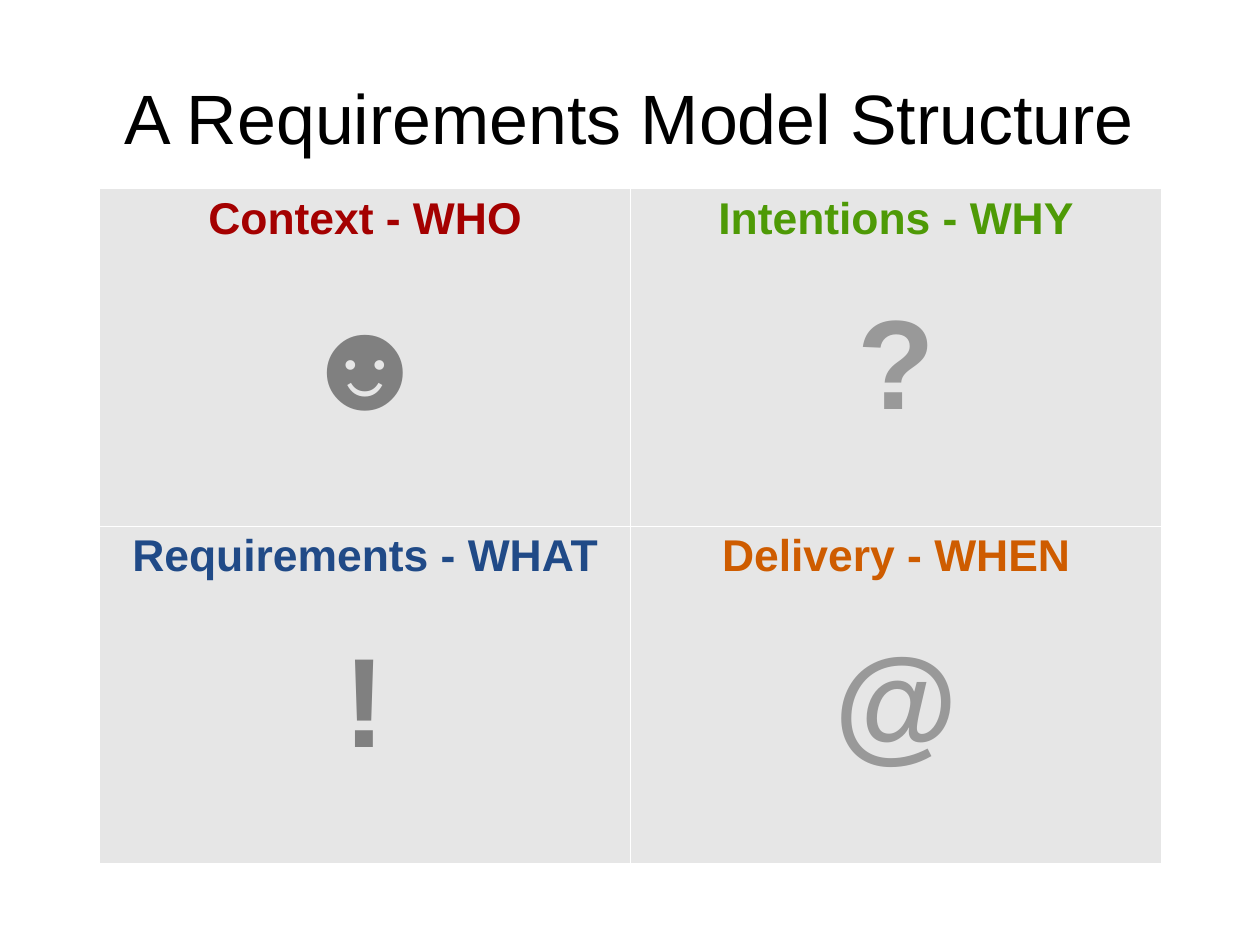
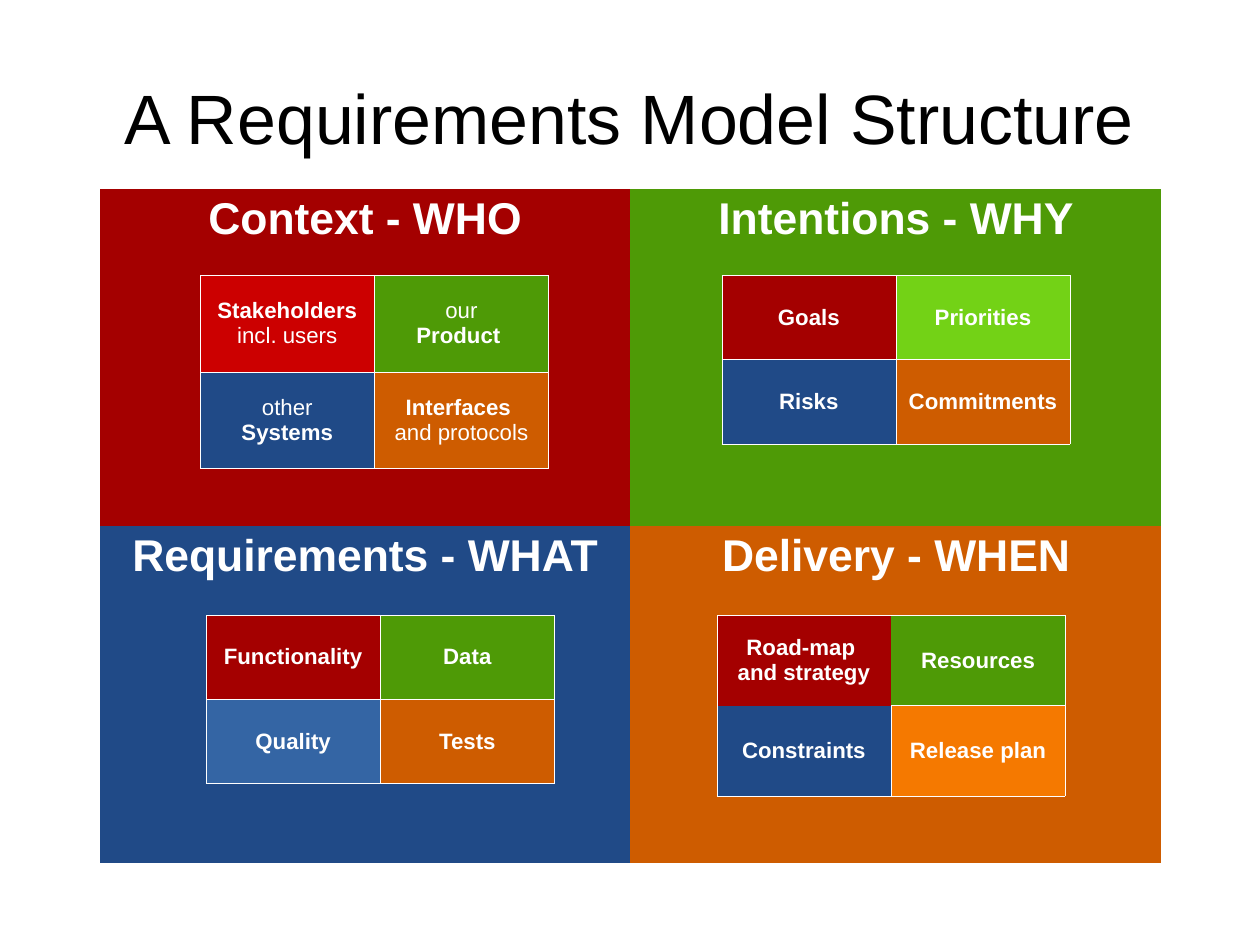
"""Build two slides showing a requirements model as nested two-by-two grids."""
from collections import namedtuple

from lxml.etree import SubElement
from pptx import Presentation
from pptx.dml.color import RGBColor as RGB
from pptx.enum.text import MSO_ANCHOR as ANCHOR, MSO_AUTO_SIZE as AUTO_SIZE, PP_ALIGN as ALIGN
from pptx.oxml.ns import qn
from pptx.util import Cm, Pt

FONT = "Arial"
BLACK, WHITE, PALE = RGB(0, 0, 0), RGB(0xFF, 0xFF, 0xFF), RGB(0xE6, 0xE6, 0xE6)
DARK_GREY, GREY = RGB(0x80, 0x80, 0x80), RGB(0x99, 0x99, 0x99)
RED, BRIGHT_RED = RGB(0xA4, 0, 0), RGB(0xCC, 0, 0)
GREEN, BRIGHT_GREEN = RGB(0x4E, 0x9A, 0x06), RGB(0x73, 0xD2, 0x16)
BLUE, BRIGHT_BLUE = RGB(0x20, 0x4A, 0x87), RGB(0x34, 0x65, 0xA4)
ORANGE, BRIGHT_ORANGE = RGB(0xCE, 0x5C, 0), RGB(0xF5, 0x79, 0)

Line = namedtuple("Line", "text size color bold before", defaults=(14, WHITE, True, 0))
Quarter = namedtuple("Quarter", "lines fill borders", defaults=("LRTB",))

TITLE = "A Requirements Model Structure"
AREAS = [
    ("Context - WHO", RED, "☻", DARK_GREY),
    ("Intentions - WHY", GREEN, "?", GREY),
    ("Requirements - WHAT", BLUE, "!", DARK_GREY),
    ("Delivery - WHEN", ORANGE, "@", GREY),
]
OUTER_BORDERS = ["LT", "RT", "LB", "RB"]

CONTEXT = [
    Quarter([Line("Stakeholders"), Line("incl. users", bold=False)], BRIGHT_RED),
    Quarter([Line("our", bold=False), Line("Product ")], GREEN),
    Quarter([Line("other", bold=False), Line("Systems")], BLUE),
    Quarter([Line("Interfaces "), Line("and protocols", bold=False)], ORANGE),
]
INTENTIONS = [
    Quarter([Line("Goals")], RED),
    Quarter([Line("Priorities")], BRIGHT_GREEN),
    Quarter([Line("Risks")], BLUE),
    Quarter([Line("Commitments")], ORANGE),
]
REQUIREMENTS = [
    Quarter([Line("Functionality")], RED),
    Quarter([Line("Data")], GREEN),
    Quarter([Line("Quality")], BRIGHT_BLUE),
    Quarter([Line("Tests")], ORANGE),
]
DELIVERY = [
    Quarter([Line("Road-map "), Line("and strategy")], RED, "LT"),
    Quarter([Line("Resources")], GREEN, "RTB"),
    Quarter([Line("Constraints")], BLUE, "LRB"),
    Quarter([Line("Release plan")], BRIGHT_ORANGE),
]
DETAILS = [
    (CONTEXT, 4.45, 6.12, 2.14),
    (INTENTIONS, 16.04, 6.12, 1.87),
    (REQUIREMENTS, 4.58, 13.67, 1.87),
    (DELIVERY, 15.93, 13.67, 2.01),
]
DETAIL_COLUMN = 3.87


def add_titled_slide(deck):
    slide = deck.slides.add_slide(deck.slide_layouts[5])
    title = slide.shapes.title
    title.left, title.top, title.width, title.height = Cm(1.4), Cm(0.64), Cm(25.2), Cm(3.91)
    frame = title.text_frame
    frame.text = TITLE
    frame.auto_size = AUTO_SIZE.NONE
    frame.vertical_anchor = ANCHOR.MIDDLE
    frame.margin_left = frame.margin_right = frame.margin_top = frame.margin_bottom = 0
    style_paragraph(frame.paragraphs[0], Line(TITLE, 44, BLACK, False))
    return slide


def style_paragraph(paragraph, line):
    paragraph.alignment = ALIGN.CENTER
    if line.before:
        paragraph.space_before = Pt(line.before)
    font = paragraph.font
    font.name, font.size, font.bold = FONT, Pt(line.size), line.bold
    font.color.rgb = line.color


def set_borders(cell, sides):
    properties = cell._tc.get_or_add_tcPr()
    for side in "LRTB":
        border = SubElement(properties, qn(f"a:ln{side}"), w=str(Pt(0.06)))
        if side in sides:
            paint = SubElement(border, qn("a:solidFill"))
            SubElement(paint, qn("a:srgbClr"), val=str(WHITE))
        else:
            SubElement(border, qn("a:noFill"))


def add_grid(slide, quarters, left, top, column, row, anchor=ANCHOR.MIDDLE):
    table = slide.shapes.add_table(
        2, 2, Cm(left), Cm(top), Cm(2 * column), Cm(2 * row)).table
    table.first_row = table.horz_banding = False
    for index, quarter in enumerate(quarters):
        cell = table.cell(*divmod(index, 2))
        cell.vertical_anchor = anchor
        set_borders(cell, quarter.borders)
        cell.fill.solid()
        cell.fill.fore_color.rgb = quarter.fill
        frame = cell.text_frame
        frame.text = "\n".join(line.text for line in quarter.lines)
        for paragraph, line in zip(frame.paragraphs, quarter.lines):
            style_paragraph(paragraph, line)


def add_area_grid(slide, quarters):
    add_grid(slide, quarters, 2.21, 4.19, 11.8, 7.5, ANCHOR.TOP)


def main():
    deck = Presentation()
    deck.slide_width, deck.slide_height = Cm(28), Cm(21)

    overview = add_titled_slide(deck)
    add_area_grid(overview, [
        Quarter([Line(name, 28, color), Line(symbol, 80, shade, before=32)], PALE)
        for name, color, symbol, shade in AREAS])

    detailed = add_titled_slide(deck)
    add_area_grid(detailed, [
        Quarter([Line(name, 28)], color, borders)
        for (name, color, _, _), borders in zip(AREAS, OUTER_BORDERS)])
    for quarters, left, top, row in DETAILS:
        add_grid(detailed, quarters, left, top, DETAIL_COLUMN, row)

    deck.save("out.pptx")


if __name__ == "__main__":
    main()
